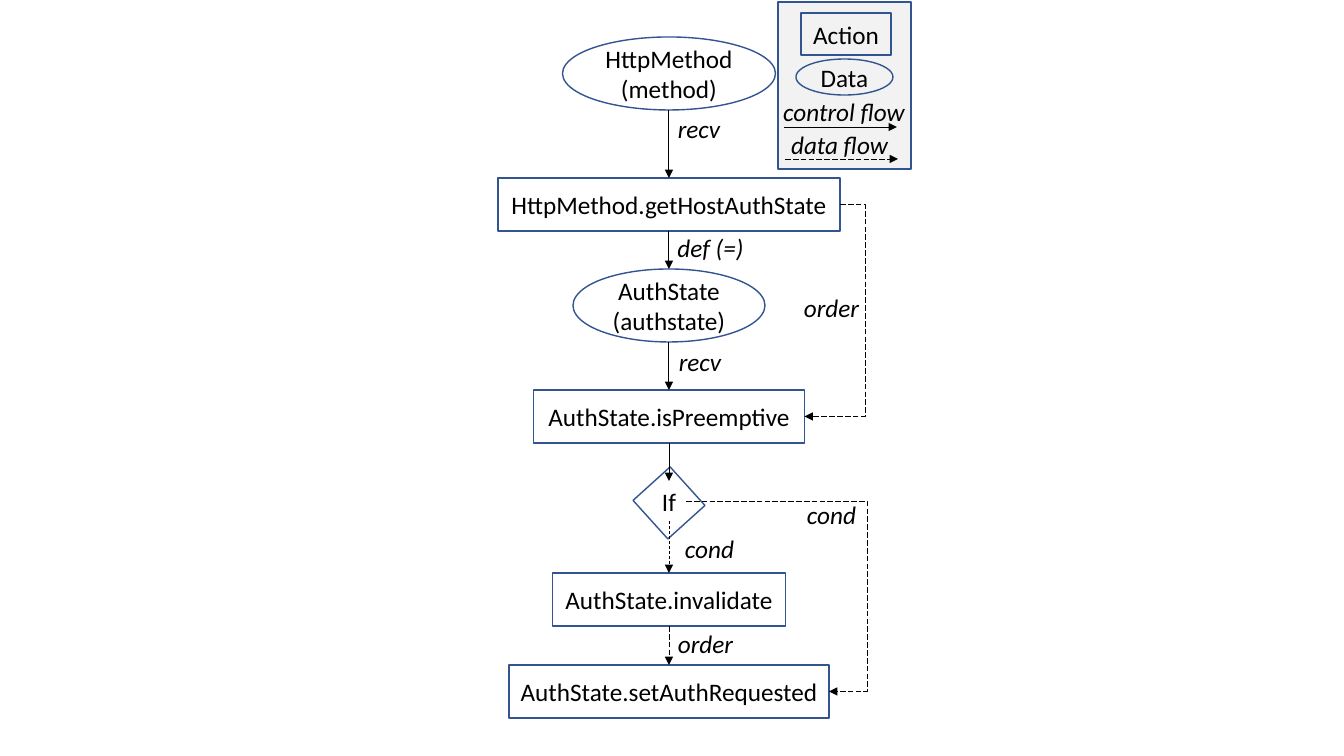
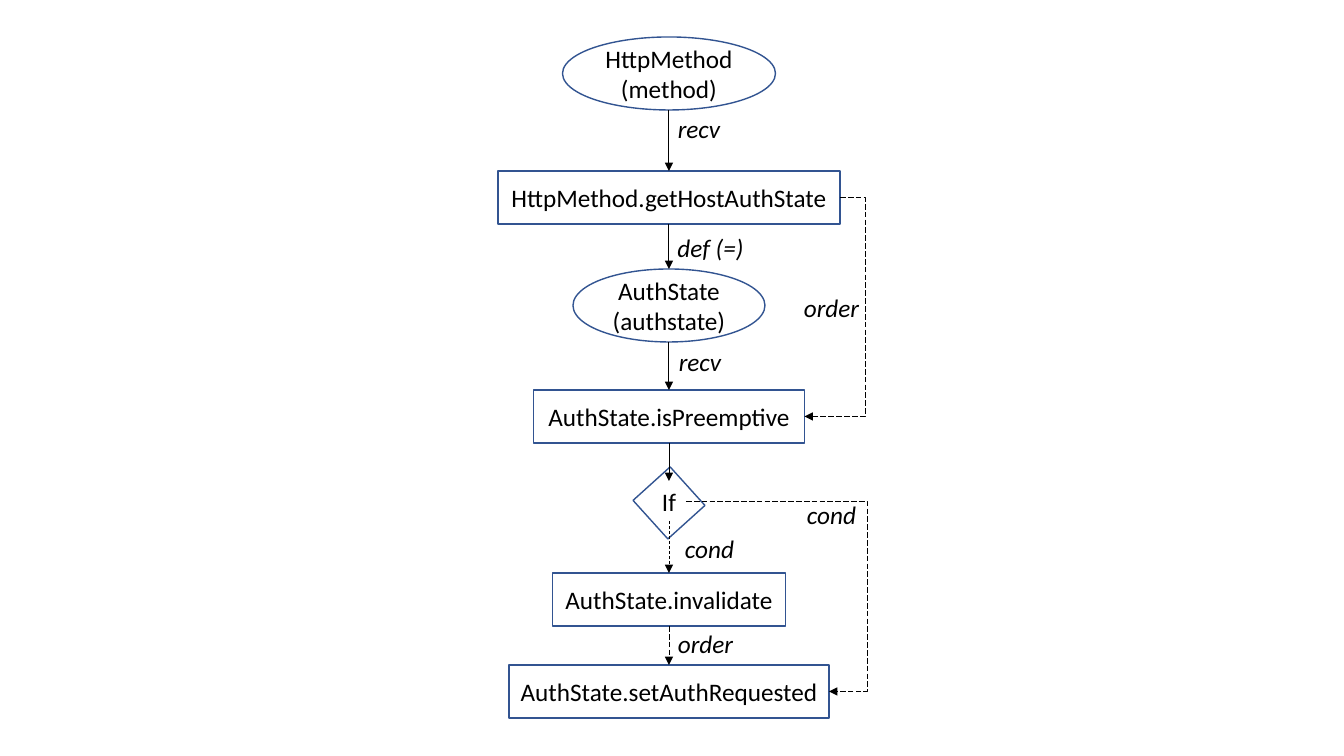
"""Build two slides that show an authentication call flowchart."""
from itertools import pairwise

from lxml import etree
from pptx import Presentation
from pptx.dml.color import RGBColor
from pptx.enum.dml import MSO_LINE
from pptx.enum.shapes import MSO_CONNECTOR, MSO_SHAPE
from pptx.enum.text import MSO_ANCHOR, PP_ALIGN
from pptx.oxml.ns import qn
from pptx.util import Emu, Pt

RECTANGLE, OVAL = MSO_SHAPE.RECTANGLE, MSO_SHAPE.OVAL
STRAIGHT, ELBOW = MSO_CONNECTOR.STRAIGHT, MSO_CONNECTOR.ELBOW
DASH, LONG_DASH = MSO_LINE.DASH, MSO_LINE.LONG_DASH
MIDDLE, CENTER = MSO_ANCHOR.MIDDLE, PP_ALIGN.CENTER

OUTLINE = RGBColor(0x32, 0x54, 0x91)
INK = RGBColor(0, 0, 0)
LEGEND_FILL = RGBColor(0xF2, 0xF2, 0xF2)
FONT = "Calibri"
EMU_PER_PIXEL = 914400 / 100.8
SLIDE_WIDTH, SLIDE_HEIGHT = 1344, 756
ACTION_HEIGHT, DATA_HEIGHT, LABEL_HEIGHT = 53, 73, 46
FLOW_BOX = (498, 37, 369, 681)
LEGEND_BOX = (778, 2, 133, 167)


def pixels(*lengths):
    """Turn pixel lengths into EMU."""
    return [Emu(round(length * EMU_PER_PIXEL)) for length in lengths]


def write(shape, lines, italic=False):
    """Write centred lines of text into a shape."""
    frame = shape.text_frame
    frame.word_wrap = False
    frame.vertical_anchor = MIDDLE
    frame.margin_left = frame.margin_right = 0
    frame.margin_top = frame.margin_bottom = 0
    for index, line in enumerate(lines):
        paragraph = frame.add_paragraph() if index else frame.paragraphs[0]
        paragraph.alignment = CENTER
        run = paragraph.add_run()
        run.text = line
        run.font.name = FONT
        run.font.size = Pt(18)
        run.font.italic = italic
        run.font.color.rgb = INK


def add_node(slide, kind, box, lines=(), fill=None):
    """Add an outlined shape with optional text and fill."""
    shape = slide.shapes.add_shape(kind, *pixels(*box))
    shape.shadow.inherit = False
    if fill is None:
        shape.fill.background()
    else:
        shape.fill.solid()
        shape.fill.fore_color.rgb = fill
    shape.line.color.rgb = OUTLINE
    shape.line.width = Pt(1)
    if lines:
        write(shape, lines)
    return shape


def add_text(slide, box, text, italic=True):
    """Add a one-line text box."""
    write(slide.shapes.add_textbox(*pixels(*box)), [text], italic)


def add_arrow(slide, start, end, width=0.5, dash=None, bend_x=None):
    """Add an arrow, bent at bend_x when that is given."""
    kind = STRAIGHT if bend_x is None else ELBOW
    connector = slide.shapes.add_connector(kind, *pixels(*start, *end))
    connector.line.color.rgb = INK
    connector.line.width = Pt(width)
    if dash is not None:
        connector.line.dash_style = dash
    properties = connector._element.spPr
    etree.SubElement(properties.find(qn("a:ln")), qn("a:tailEnd"), type="triangle")
    etree.SubElement(properties, qn("a:effectLst"))
    if bend_x is not None:
        ratio = (bend_x - start[0]) / (end[0] - start[0])
        adjustments = properties.find(qn("a:prstGeom")).get_or_add_avLst()
        etree.SubElement(adjustments, qn("a:gd"), name="adj1",
                         fmla=f"val {round(ratio * 100000)}")


def draw_flow(slide, box, host_offset):
    """Draw the chain of steps, its arrows and its labels in the box."""
    left, top, width, height = box
    center = left + 171
    right = left + width
    steps = [
        (OVAL, ["HttpMethod", "(method)"], 0, 213, DATA_HEIGHT),
        (RECTANGLE, ["HttpMethod.getHostAuthState"], host_offset, 342, ACTION_HEIGHT),
        (OVAL, ["AuthState", "(authstate)"], 232, 192, DATA_HEIGHT),
        (RECTANGLE, ["AuthState.isPreemptive"], 353, 271, ACTION_HEIGHT),
        (None, ["If"], 444, 34, 40),
        (RECTANGLE, ["AuthState.invalidate"], 536, 233, ACTION_HEIGHT),
        (RECTANGLE, ["AuthState.setAuthRequested"], height - ACTION_HEIGHT, 320, ACTION_HEIGHT),
    ]
    boxes = []
    for kind, lines, offset, step_width, step_height in steps:
        step_box = (center - step_width / 2, top + offset, step_width, step_height)
        boxes.append(step_box)
        if kind is None:
            diamond = add_node(slide, RECTANGLE, (center - 26, top + offset - 3, 52, 50))
            diamond.rotation = 47.9
            add_text(slide, step_box, lines[0], italic=False)
        else:
            add_node(slide, kind, step_box, lines)

    styles = [(0.75, None)] * 3 + [(0.5, None), (0.5, DASH), (0.5, LONG_DASH)]
    for (upper, lower), (weight, dash) in zip(pairwise(boxes), styles):
        add_arrow(slide, (center, upper[1] + upper[3]), (center, lower[1]), weight, dash)

    _, host, _, preemptive, condition, _, requested = boxes
    for source, target, bend_x in ((host, preemptive, right - 2), (condition, requested, right)):
        start, end = ((x + w, y + h / 2) for x, y, w, h in (source, target))
        add_arrow(slide, start, end, dash=LONG_DASH, bend_x=bend_x)

    labels = [
        ("recv", 165, 68, 72), ("def (=)", 162, 187, 101), ("recv", 166, 301, 72),
        ("order", 293, 247, 81), ("cond", 171, 488, 81),
        ("cond", 293, 454, 81), ("order", 167, 583, 81),
    ]
    for text, x, y, label_width in labels:
        add_text(slide, (left + x, top + y, label_width, LABEL_HEIGHT), text)


def draw_legend(slide, box):
    """Draw the key to shapes and arrows in the box."""
    left, top, _, _ = box
    add_node(slide, RECTANGLE, box, fill=LEGEND_FILL)
    add_node(slide, RECTANGLE, (left + 23, top + 11, 90, 42), ["Action"])
    add_node(slide, OVAL, (left + 18, top + 57, 97, 36), ["Data"])
    arrows = [
        ("control flow", -9, 86, 150, 6, 125, None),
        ("data flow", -5, 119, 133, 7, 157, LONG_DASH),
    ]
    for text, x, y, label_width, arrow_x, arrow_y, dash in arrows:
        start = (left + arrow_x, top + arrow_y)
        add_arrow(slide, start, (start[0] + 113, start[1]), dash=dash)
        add_text(slide, (left + x, top + y, label_width, LABEL_HEIGHT), text)


def main():
    """Build both slides and save them."""
    presentation = Presentation()
    presentation.slide_width, presentation.slide_height = pixels(SLIDE_WIDTH, SLIDE_HEIGHT)
    for host_offset, has_legend in ((141, True), (134, False)):
        slide = presentation.slides.add_slide(presentation.slide_layouts[6])
        if has_legend:
            draw_legend(slide, LEGEND_BOX)
        draw_flow(slide, FLOW_BOX, host_offset)
    presentation.save("out.pptx")


main()
